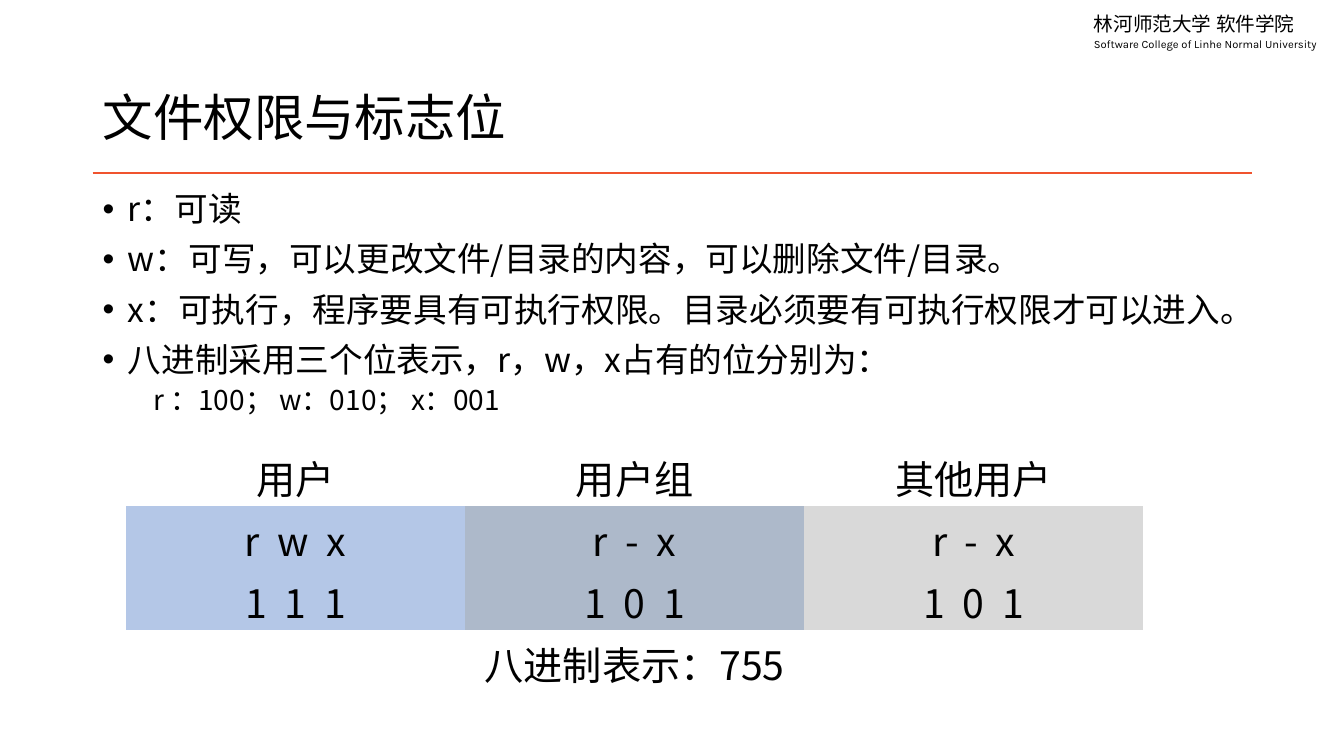
from pptx import Presentation
from pptx.dml.color import RGBColor
from pptx.enum.shapes import MSO_CONNECTOR
from pptx.enum.text import MSO_ANCHOR, PP_ALIGN
from pptx.oxml.ns import qn
from pptx.util import Inches, Pt
from lxml import etree

STRAIGHT = MSO_CONNECTOR.STRAIGHT
MIDDLE, TOP = MSO_ANCHOR.MIDDLE, MSO_ANCHOR.TOP
LEFT, CENTER = PP_ALIGN.LEFT, PP_ALIGN.CENTER

BLACK = RGBColor(0x00, 0x00, 0x00)
WHITE = RGBColor(0xFF, 0xFF, 0xFF)
ORANGE = RGBColor(0xF0, 0x53, 0x2E)
BLUE = RGBColor(0xB4, 0xC7, 0xE7)
SLATE = RGBColor(0xAD, 0xB9, 0xCA)
GREY = RGBColor(0xD9, 0xD9, 0xD9)

FONT, HEADER_FONT = "Noto Sans CJK SC", "Karla"
PLAIN_TABLE = "{2D5ABB26-0587-4C30-8999-92F81FD0307C}"

# Boxes: left, top, width, height in inches
MARGIN, CONTENT_WIDTH = 0.92, 11.5
HEADER_BOX = (10.75, 0.07, 2.49, 0.49)
TITLE_BOX = (MARGIN, 0.81, CONTENT_WIDTH, 0.77)
BODY_BOX = (MARGIN, 1.86, CONTENT_WIDTH, 5.33)
TABLE_BOX = (1.25, 4.41, 10.09, 2.45)
RULE_GAP = 0.14

BULLETS = [
    "r：可读",
    "w：可写，可以更改文件/目录的内容，可以删除文件/目录。",
    "x：可执行，程序要具有可执行权限。目录必须要有可执行权限才可以进入。",
    "八进制采用三个位表示，r，w，x占有的位分别为：",
]
BIT_VALUES = "r ：100； w：010； x：001"
PERMISSIONS = [
    ("用户", "用户组", "其他用户"),
    ("r  w  x", "r  -  x", "r  -  x"),
    ("1  1  1", "1  0  1", "1  0  1"),
]
OCTAL = "八进制表示：755"
COLUMN_FILLS = (BLUE, SLATE, GREY)


def inches(box):
    return [Inches(value) for value in box]


def apply(target, values):
    for name, value in values.items():
        setattr(target, name, value)


def write(para, text, size, font=FONT, **values):
    """Fill a paragraph with one formatted span."""
    apply(para, values)
    span = para.add_run()
    span.text = text
    apply(span.font, {"size": Pt(size), "name": font, "bold": False})
    span.font.color.rgb = BLACK
    east_asian = etree.SubElement(span.font._element, qn("a:ea"))
    east_asian.set("typeface", font)


def indent(para, left, first, bullet=None):
    properties = para._p.get_or_add_pPr()
    properties.set("marL", str(Inches(left)))
    properties.set("indent", str(Inches(first)))
    if bullet:
        etree.SubElement(properties, qn("a:buFont")).set("typeface", "Arial")
        etree.SubElement(properties, qn("a:buChar")).set("char", bullet)


def add_text_frame(page, box):
    frame = page.shapes.add_textbox(*inches(box)).text_frame
    apply(frame, {"word_wrap": True, "vertical_anchor": TOP})
    return frame


def add_header(page, box):
    frame = add_text_frame(page, box)
    write(frame.paragraphs[0], "林河师范大学 软件学院", 14)
    write(frame.add_paragraph(), "Software College of Linhe Normal University",
          8, HEADER_FONT, line_spacing=Pt(10.8))


def add_title(page, box):
    title = page.shapes.title
    apply(title, dict(zip(("left", "top", "width", "height"), inches(box))))
    title.text_frame.vertical_anchor = MIDDLE
    write(title.text_frame.paragraphs[0], "文件权限与标志位", 36,
          alignment=LEFT, line_spacing=0.9)

    # Rule below the title
    left, top, width, height = box
    rule_top = top + height + RULE_GAP
    rule = page.shapes.add_connector(
        STRAIGHT, *inches((left, rule_top, left + width, rule_top)))
    rule.line.color.rgb = ORANGE
    rule.line.width = Pt(1.5)
    etree.SubElement(rule._element.spPr, qn("a:effectLst"))


def add_body(page, box):
    frame = add_text_frame(page, box)
    for index, text in enumerate(BULLETS):
        para = frame.add_paragraph() if index else frame.paragraphs[0]
        write(para, text, 24, line_spacing=0.9, space_before=Pt(10))
        indent(para, 0.25, -0.25, "•")
    para = frame.add_paragraph()
    write(para, BIT_VALUES, 20, level=1, line_spacing=0.9, space_before=Pt(5))
    indent(para, 0.5, 0)


def fill_cell(cell, text, color):
    cell.fill.solid()
    cell.fill.fore_color.rgb = color
    cell.vertical_anchor = MIDDLE
    write(cell.text_frame.paragraphs[0], text, 28, alignment=CENTER)


def add_permission_table(page, box):
    row_count, column_count = len(PERMISSIONS) + 1, len(COLUMN_FILLS)
    table = page.shapes.add_table(row_count, column_count, *inches(box)).table
    apply(table, {"first_row": False, "horz_banding": False})
    table._tbl.tblPr.find(qn("a:tableStyleId")).text = PLAIN_TABLE

    # Names on white, permission bits on the column colours
    for row, texts in enumerate(PERMISSIONS):
        for column, text in enumerate(texts):
            color = COLUMN_FILLS[column] if row else WHITE
            fill_cell(table.cell(row, column), text, color)

    # Octal total across all columns
    total = table.cell(row_count - 1, 0)
    total.merge(table.cell(row_count - 1, column_count - 1))
    fill_cell(total, OCTAL, WHITE)


def main():
    deck = Presentation()
    apply(deck, {"slide_width": Inches(13.33), "slide_height": Inches(7.5)})
    page = deck.slides.add_slide(deck.slide_layouts.get_by_name("Title Only"))
    add_header(page, HEADER_BOX)
    add_title(page, TITLE_BOX)
    add_body(page, BODY_BOX)
    add_permission_table(page, TABLE_BOX)
    deck.save("out.pptx")


if __name__ == "__main__":
    main()
